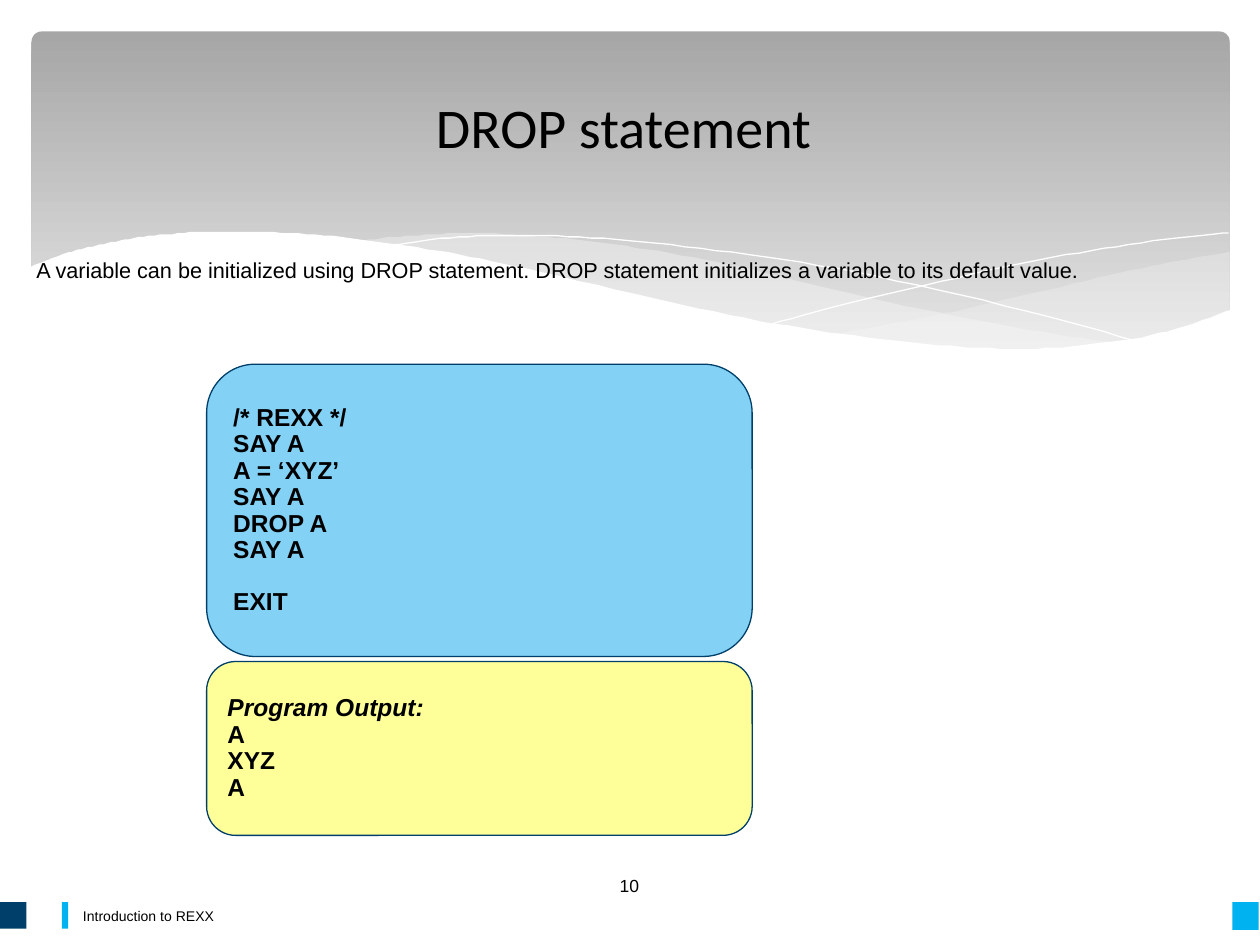
from dataclasses import dataclass
from typing import Optional

from lxml.etree import SubElement
from pptx import Presentation
from pptx.dml.color import RGBColor
from pptx.enum.shapes import MSO_SHAPE as Preset
from pptx.enum.text import MSO_ANCHOR as Anchor, PP_ALIGN as Align
from pptx.oxml.ns import qn
from pptx.util import Emu, Pt

EMU_PER_PX = 9144  # 100 px to the inch
CURVE_STEPS = 6


@dataclass(frozen=True)
class Theme:
    navy: str = "003F69"
    cyan: str = "00B2EF"
    sky: str = "83D1F5"
    yellow: str = "FFFF99"
    white: str = "FFFFFF"
    mist: str = "F8F8F8"
    black: str = "000000"
    banner_top: str = "A6A6A6"
    banner_bottom: str = "EBEBEB"
    body_font: str = "Arial"
    title_font: str = "Calibri"
    title_size: float = 32
    code_size: float = 14
    lead_size: float = 12.4
    number_size: float = 10
    footer_size: float = 8


THEME = Theme()


@dataclass(frozen=True)
class Box:
    left: int
    top: int
    width: int
    height: int

    def emu(self) -> list[Emu]:
        return [Emu(v * EMU_PER_PX)
                for v in (self.left, self.top, self.width, self.height)]


@dataclass(frozen=True)
class Wave:
    """A smooth curve; corners, if any, close it into a filled area."""
    knots: list
    corners: tuple = ()
    fill: Optional[str] = None
    opacity: int = 100


@dataclass(frozen=True)
class Label:
    box: Box
    text: str
    size: float
    font: str = THEME.body_font
    align: Align = Align.LEFT
    anchor: Anchor = Anchor.MIDDLE
    line_spacing: float = 1.0
    space_before: float = 0


@dataclass(frozen=True)
class CodePanel:
    box: Box
    fill: str
    lines: list
    heading: bool = False
    gap_before_last: float = 0


# The lower edge of a ribbon runs back from right to left, so it has its own knots.
WAVES = [
    Wave([(975, 200), (935, 207), (891, 216), (832, 230), (779, 242), (729, 253), (661, 265)],
         ((691, 269), (732, 274), (769, 277), (803, 278), (844, 277), (881, 273),
          (913, 267), (942, 259), (963, 252), (976, 247), (976, 200)), THEME.mist, 29),
    Wave([(893, 273), (837, 265), (775, 254), (706, 240), (629, 222), (569, 208), (514, 198),
          (464, 191), (420, 187), (380, 185), (344, 186), (313, 188), (286, 191)],
         ((323, 196), (362, 203), (404, 211), (449, 222), (530, 240), (601, 255),
          (650, 264), (695, 270), (736, 275), (773, 278), (807, 279), (838, 278),
          (867, 276), (893, 273)), THEME.mist, 40),
    Wave([(309, 195), (343, 190), (387, 187), (433, 187), (489, 190), (556, 197),
          (636, 208), (727, 226), (831, 251), (907, 272)]),
    Wave([(613, 257), (672, 241), (748, 223), (806, 210), (866, 199), (924, 190), (975, 185)]),
    Wave([(977, 246), (940, 259), (899, 269), (850, 275), (809, 277), (761, 275), (708, 270),
          (647, 262), (579, 250), (503, 233), (418, 213), (365, 202), (315, 194), (271, 188),
          (230, 185), (193, 184), (161, 184), (132, 186), (106, 189), (85, 193), (67, 197),
          (52, 201), (36, 207), (23, 213)],
         ((23, 329), (977, 329)), THEME.white),
]

BLOCKS = [(Box(0, 716, 21, 21), THEME.navy),
          (Box(978, 716, 21, 22), THEME.cyan),
          (Box(49, 716, 5, 21), THEME.cyan)]

LABELS = [
    Label(Box(56, 714, 779, 26), "Introduction to REXX", THEME.footer_size),
    Label(Box(20, 65, 950, 70), "DROP statement", THEME.title_size,
          THEME.title_font, Align.CENTER),
    Label(Box(436, 684, 127, 40), "10", THEME.number_size, align=Align.CENTER,
          line_spacing=0.9),
    Label(Box(19, 203, 961, 54),
          "A variable can be initialized using DROP statement. "
          "DROP statement initializes a variable to its default value.",
          THEME.lead_size, anchor=Anchor.TOP, line_spacing=0.8, space_before=10),
]

PANELS = [
    CodePanel(Box(164, 289, 433, 232), THEME.sky,
              ["/* REXX */", "SAY A", "A = ‘XYZ’", "SAY A", "DROP A", "SAY A", "EXIT"],
              gap_before_last=14.5),
    CodePanel(Box(164, 525, 433, 138), THEME.yellow,
              ["Program Output:", "A", "XYZ", "A"], heading=True),
]


def color(value: str) -> RGBColor:
    return RGBColor.from_string(value)


def smooth(knots: list) -> list:
    """Catmull-Rom points through the knots."""
    padded = [knots[0], *knots, knots[-1]]
    points = [knots[0]]
    for a, b, c, d in zip(padded, padded[1:], padded[2:], padded[3:]):
        for step in range(1, CURVE_STEPS + 1):
            t = step / CURVE_STEPS
            points.append(tuple(
                0.5 * (2 * q + (r - p) * t + (2 * p - 5 * q + 4 * r - s) * t ** 2
                       + (3 * q - p - 3 * r + s) * t ** 3)
                for p, q, r, s in zip(a, b, c, d)))
    return points


def paint(shape, fill: str) -> None:
    shape.shadow.inherit = False
    shape.fill.solid()
    shape.fill.fore_color.rgb = color(fill)
    shape.line.fill.background()


def style(paragraph, font: str, size: float, line_spacing: float) -> None:
    paragraph.font.name = font
    paragraph.font.size = Pt(size)
    paragraph.font.color.rgb = color(THEME.black)
    paragraph.line_spacing = line_spacing


def draw_banner(slide) -> None:
    banner = slide.shapes.add_shape(Preset.ROUNDED_RECTANGLE, *Box(25, 25, 951, 270).emu())
    banner.adjustments[0] = 0.03
    banner.shadow.inherit = False
    banner.line.fill.background()
    banner.fill.gradient()
    banner.fill.gradient_angle = 270
    stops = banner.fill.gradient_stops
    for stop, position, tone in zip(stops, (0, 1), (THEME.banner_top, THEME.banner_bottom)):
        stop.position = position
        stop.color.rgb = color(tone)


def draw_wave(slide, wave: Wave) -> None:
    points = smooth(wave.knots)
    if wave.corners:
        points += wave.corners
    builder = slide.shapes.build_freeform(*points[0], scale=EMU_PER_PX)
    builder.add_line_segments(points[1:], close=bool(wave.corners))
    shape = builder.convert_to_shape()
    if wave.fill is None:
        shape.shadow.inherit = False
        shape.fill.background()
        shape.line.color.rgb = color(THEME.white)
        shape.line.width = Pt(0)
        return
    paint(shape, wave.fill)
    if wave.opacity < 100:
        solid = shape.fill._xPr.find(qn("a:solidFill"))
        SubElement(solid[0], qn("a:alpha")).set("val", str(wave.opacity * 1000))


def draw_label(slide, label: Label) -> None:
    frame = slide.shapes.add_textbox(*label.box.emu()).text_frame
    frame.word_wrap = True
    frame.vertical_anchor = label.anchor
    paragraph = frame.paragraphs[0]
    paragraph.text = label.text
    paragraph.alignment = label.align
    paragraph.space_before = Pt(label.space_before)
    style(paragraph, label.font, label.size, label.line_spacing)


def draw_panel(slide, panel: CodePanel) -> None:
    shape = slide.shapes.add_shape(Preset.FLOWCHART_ALTERNATE_PROCESS, *panel.box.emu())
    paint(shape, panel.fill)
    shape.line.color.rgb = color(THEME.navy)
    shape.line.width = Pt(0.75)
    frame = shape.text_frame
    frame.word_wrap = True
    frame.vertical_anchor = Anchor.MIDDLE
    frame.text = "\n".join(panel.lines)
    for paragraph in frame.paragraphs:
        paragraph.alignment = Align.LEFT
        paragraph.font.bold = True
        style(paragraph, THEME.body_font, THEME.code_size, 0.9)
    frame.paragraphs[0].font.italic = panel.heading
    frame.paragraphs[-1].space_before = Pt(panel.gap_before_last)


def main() -> None:
    presentation = Presentation()
    presentation.slide_width = Emu(1000 * EMU_PER_PX)
    presentation.slide_height = Emu(750 * EMU_PER_PX)
    slide = presentation.slides.add_slide(presentation.slide_layouts[6])

    # Banner with its waves
    draw_banner(slide)
    for wave in WAVES:
        draw_wave(slide, wave)

    # Footer blocks
    for box, fill in BLOCKS:
        paint(slide.shapes.add_shape(Preset.RECTANGLE, *box.emu()), fill)

    # Title, lead sentence, page number and footer
    for label in LABELS:
        draw_label(slide, label)

    # Program and its output
    for panel in PANELS:
        draw_panel(slide, panel)

    presentation.save("out.pptx")


if __name__ == "__main__":
    main()
